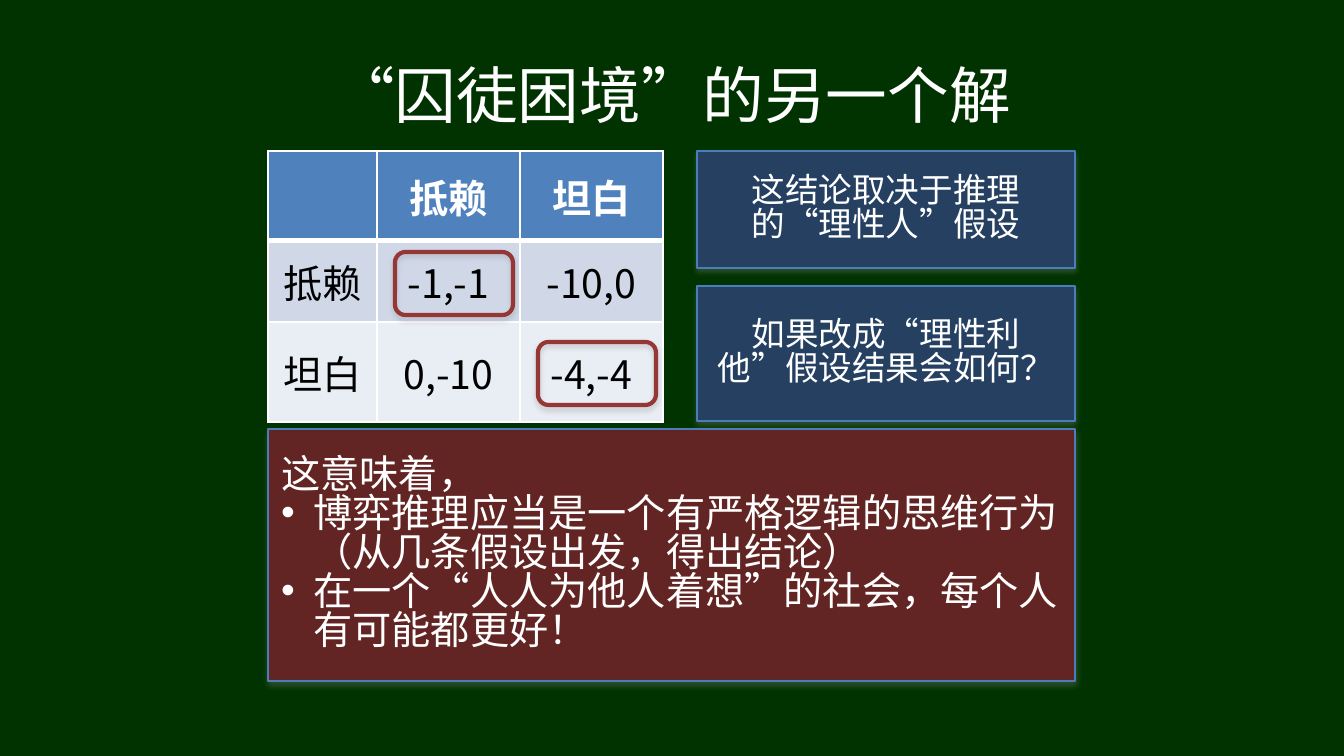
"""Build the slide on another solution of the prisoner's dilemma."""
from dataclasses import dataclass
from itertools import accumulate

from lxml import etree
from pptx import Presentation
from pptx.dml.color import RGBColor
from pptx.enum.shapes import MSO_SHAPE
from pptx.enum.text import MSO_ANCHOR, PP_ALIGN
from pptx.oxml.ns import qn
from pptx.util import Pt

SLIDE_WIDTH, SLIDE_HEIGHT = 1344, 756
SCALE = 9144000 / SLIDE_WIDTH
FONT = "Noto Sans CJK SC"
TITLE_ONLY = 5
TIGHT_SPACING = 0.83
BULLET_INDENT = 32

RECTANGLE = MSO_SHAPE.RECTANGLE
ROUNDED = MSO_SHAPE.ROUNDED_RECTANGLE
LEFT, CENTER = PP_ALIGN.LEFT, PP_ALIGN.CENTER
MIDDLE = MSO_ANCHOR.MIDDLE

DARK_GREEN = RGBColor(0x00, 0x33, 0x00)
WHITE = RGBColor(0xFF, 0xFF, 0xFF)
BLACK = RGBColor(0x00, 0x00, 0x00)
NAVY = RGBColor(0x25, 0x40, 0x61)
MAROON = RGBColor(0x63, 0x25, 0x23)
BLUE_LINE = RGBColor(0x4A, 0x7E, 0xBB)
RED_LINE = RGBColor(0x95, 0x37, 0x35)
HEADER_BLUE = RGBColor(0x4F, 0x81, 0xBD)
BAND_DARK = RGBColor(0xD0, 0xD8, 0xE8)
BAND_LIGHT = RGBColor(0xE9, 0xED, 0xF4)
SHADOW_GRAY = RGBColor(0x80, 0x80, 0x80)

TITLE = "“囚徒困境”的另一个解"
TABLE_LEFT, TABLE_TOP = 268, 151
COLUMN_WIDTHS = (109, 143, 143)
ROW_HEIGHTS = (90, 81, 100)
ROW_FILLS = (HEADER_BLUE, BAND_DARK, BAND_LIGHT)
PAYOFFS = (
    ("", "抵赖", "坦白"),
    ("抵赖", "-1,-1", "-10,0"),
    ("坦白", "0,-10", "-4,-4"),
)
HIGHLIGHTED_CELLS = ((1, 1), (2, 2))


@dataclass(frozen=True)
class Panel:
    """A filled box of text, measured in px."""

    left: int
    top: int
    width: int
    height: int
    fill: RGBColor
    size: int
    lines: tuple[str, ...]
    align: PP_ALIGN = CENTER


PANELS = (
    Panel(697, 151, 378, 117, NAVY, 18, ("这结论取决于推理的“理性人”假设",)),
    Panel(697, 286, 378, 135, NAVY, 18, ("如果改成“理性利他”假设结果会如何？",)),
    Panel(268, 429, 807, 252, MAROON, 21, (
        "这意味着，",
        "博弈推理应当是一个有严格逻辑的思维行为（从几条假设出发，得出结论）",
        "在一个“人人为他人着想”的社会，每个人有可能都更好！",
    ), LEFT),
)


def px(length: int) -> int:
    """Turn px into EMU."""
    return round(length * SCALE)


def add_bullet(paragraph) -> None:
    """Give a paragraph a hanging round bullet."""
    properties = paragraph._p.get_or_add_pPr()
    properties.set("marL", str(px(BULLET_INDENT)))
    properties.set("indent", str(-px(BULLET_INDENT)))
    etree.SubElement(properties, qn("a:buFont"), typeface="Arial")
    etree.SubElement(properties, qn("a:buChar"), char="•")


def write_text(text_frame, *lines: str, size: int, color: RGBColor = WHITE,
               bold: bool = False, align: PP_ALIGN = CENTER,
               spacing: float | None = None) -> None:
    """Write paragraphs in one format, with a bullet on each after the first."""
    text_frame.word_wrap = True
    text_frame.vertical_anchor = MIDDLE
    for index, line in enumerate(lines):
        paragraph = text_frame.add_paragraph() if index else text_frame.paragraphs[0]
        if index:
            add_bullet(paragraph)
        paragraph.alignment = align
        paragraph.line_spacing = spacing
        run = paragraph.add_run()
        run.text = line
        run.font.size = Pt(size)
        run.font.bold = bold
        run.font.color.rgb = color
        run.font.name = FONT
        etree.SubElement(run._r.get_or_add_rPr(), qn("a:ea"), typeface=FONT)


def add_shadow(shape) -> None:
    """Replace the theme shadow by a soft one below the shape."""
    shape.shadow.inherit = False
    effects = shape._element.spPr.find(qn("a:effectLst"))
    shadow = etree.SubElement(effects, qn("a:outerShdw"), blurRad=str(Pt(3.1)),
                              dist=str(Pt(1.8)), dir="5400000", rotWithShape="0")
    color = etree.SubElement(shadow, qn("a:srgbClr"), val=str(SHADOW_GRAY))
    etree.SubElement(color, qn("a:alpha"), val="35000")


def add_box(slide, kind: MSO_SHAPE, bounds: tuple[int, ...], line: RGBColor,
            line_width: float, fill: RGBColor | None = None):
    """Add an outlined shape with a shadow."""
    shape = slide.shapes.add_shape(kind, *map(px, bounds))
    if fill is None:
        shape.fill.background()
    else:
        shape.fill.solid()
        shape.fill.fore_color.rgb = fill
    shape.line.color.rgb = line
    shape.line.width = Pt(line_width)
    add_shadow(shape)
    return shape


def add_borders(cell, top: int, bottom: int) -> None:
    """Draw white borders around a cell, with widths in points."""
    properties = cell._tc.get_or_add_tcPr()
    for side, width in (("L", 1), ("R", 1), ("T", top), ("B", bottom)):
        border = etree.SubElement(properties, qn(f"a:ln{side}"), w=str(Pt(width)))
        fill = etree.SubElement(border, qn("a:solidFill"))
        etree.SubElement(fill, qn("a:srgbClr"), val=str(WHITE))


def add_payoff_table(slide) -> None:
    """Add the table of payoffs."""
    bounds = (TABLE_LEFT, TABLE_TOP, sum(COLUMN_WIDTHS), sum(ROW_HEIGHTS))
    table = slide.shapes.add_table(len(ROW_HEIGHTS), len(COLUMN_WIDTHS),
                                   *map(px, bounds)).table
    for column, width in zip(table.columns, COLUMN_WIDTHS):
        column.width = px(width)
    for row_index, (row, height) in enumerate(zip(table.rows, ROW_HEIGHTS)):
        row.height = px(height)
        is_header = row_index == 0
        for cell, text in zip(row.cells, PAYOFFS[row_index]):
            add_borders(cell, 3 if row_index == 1 else 1, 3 if is_header else 1)
            cell.fill.solid()
            cell.fill.fore_color.rgb = ROW_FILLS[row_index]
            cell.margin_left = cell.margin_right = px(10)
            cell.margin_top = cell.margin_bottom = px(5)
            cell.vertical_anchor = MIDDLE
            if text:
                write_text(cell.text_frame, text, size=21, bold=is_header,
                           color=WHITE if is_header else BLACK)


def add_highlights(slide) -> None:
    """Frame the two payoffs under discussion."""
    lefts = list(accumulate(COLUMN_WIDTHS, initial=TABLE_LEFT))
    tops = list(accumulate(ROW_HEIGHTS, initial=TABLE_TOP))
    for row, column in HIGHLIGHTED_CELLS:
        top = tops[row] + (ROW_HEIGHTS[row] - 63) // 2 + 2
        add_box(slide, ROUNDED, (lefts[column] + 18, top, 118, 63), RED_LINE, 2.25)


def add_panel(slide, panel: Panel) -> None:
    """Add one box of text."""
    bounds = (panel.left, panel.top, panel.width, panel.height)
    shape = add_box(slide, RECTANGLE, bounds, BLUE_LINE, 0.75, panel.fill)
    write_text(shape.text_frame, *panel.lines, size=panel.size,
               align=panel.align, spacing=TIGHT_SPACING)


def add_title(slide) -> None:
    """Place and format the title."""
    title = slide.shapes.title
    title.left, title.top, title.width, title.height = map(px, (67, 31, 1210, 126))
    write_text(title.text_frame, TITLE, size=33)


def main() -> None:
    """Build and save the presentation."""
    presentation = Presentation()
    presentation.slide_width = px(SLIDE_WIDTH)
    presentation.slide_height = px(SLIDE_HEIGHT)
    slide = presentation.slides.add_slide(presentation.slide_layouts[TITLE_ONLY])
    slide.background.fill.solid()
    slide.background.fill.fore_color.rgb = DARK_GREEN
    add_title(slide)
    add_payoff_table(slide)
    add_highlights(slide)
    for panel in PANELS:
        add_panel(slide, panel)
    presentation.save("out.pptx")


if __name__ == "__main__":
    main()
